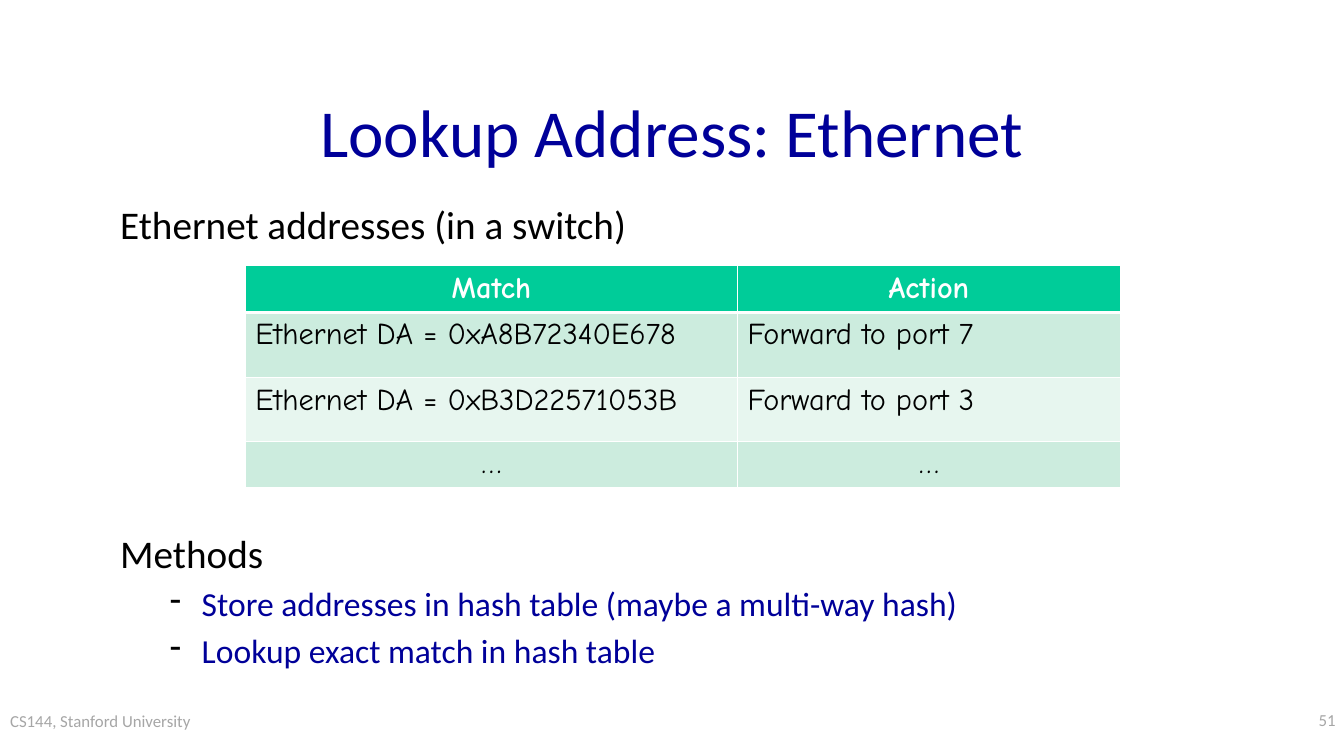
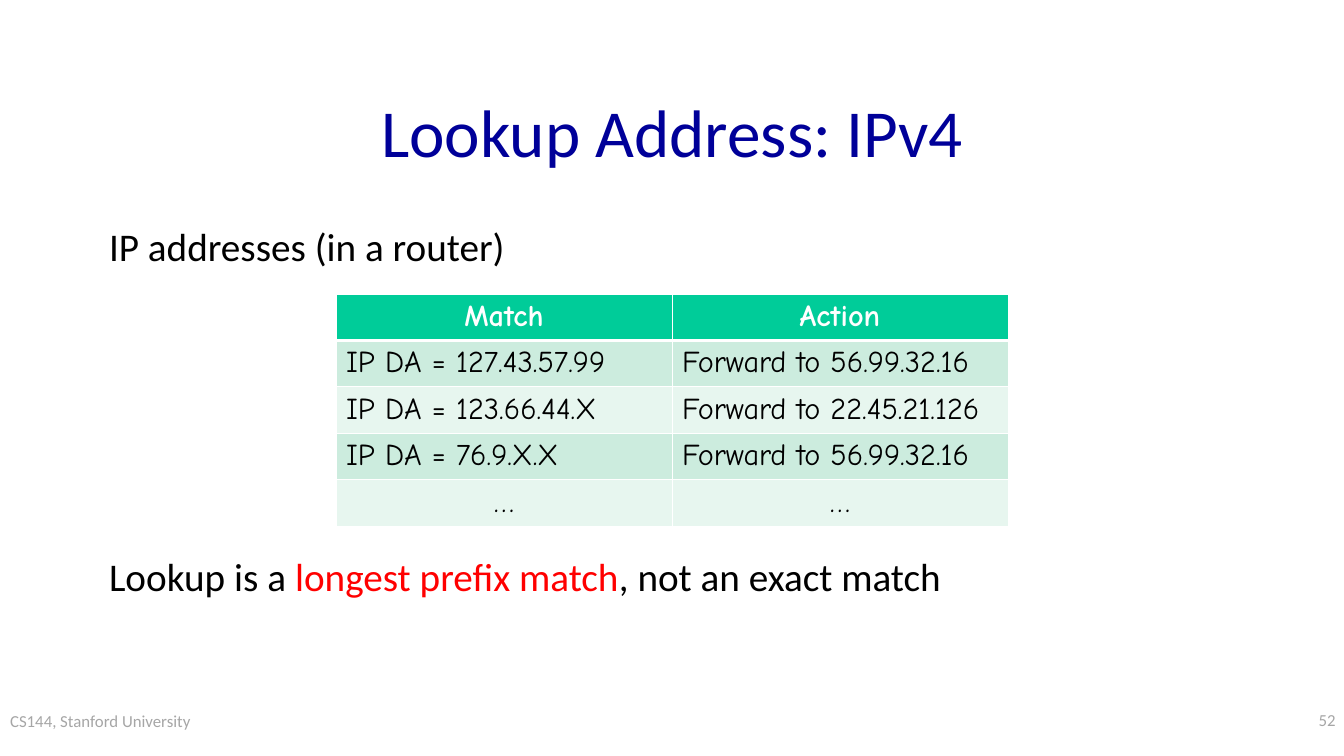
import pptx
import pptx.dml.color
import pptx.enum.text
import pptx.oxml
import pptx.oxml.ns
import pptx.util

COLORS = {
    "background": "FFFFFF",
    "title": "000099",
    "text": "000000",
    "footer": "A6A6A6",
    "emphasis": "FF0000",
    "header": "00CC99",
    "odd_row": "CCECDE",
    "even_row": "E7F6EF",
    "rule": "FFFFFF",
}
TEXT_FONT, TABLE_FONT = "Calibri", "Comic Neue"
SLIDE_WIDTH, SLIDE_HEIGHT = pptx.util.Inches(16), pptx.util.Inches(9)
GRID = SLIDE_WIDTH / 120
TABLE_ROW = 4.15
FOOTER_TOP, FOOTER_HEIGHT = 63, 4.5
BODY_GAP = 242
CENTER = pptx.enum.text.PP_ALIGN.CENTER
LEFT = pptx.enum.text.PP_ALIGN.LEFT
RIGHT = pptx.enum.text.PP_ALIGN.RIGHT
CELL_MARGINS = (0.12, 0.06)


def grid(units):
    return round(units * GRID)


def rgb(name):
    return pptx.dml.color.RGBColor.from_string(COLORS[name])


def style(paragraph, size, color, font=TEXT_FONT, align=LEFT, bold=False):
    paragraph.alignment = align
    paragraph.font.size = pptx.util.Pt(size)
    paragraph.font.name = font
    paragraph.font.bold = bold
    paragraph.font.color.rgb = rgb(color)


def set_margins(holder, horizontal, vertical):
    holder.margin_left = holder.margin_right = pptx.util.Inches(horizontal)
    holder.margin_top = holder.margin_bottom = pptx.util.Inches(vertical)


def add_frame(slide, left, top, width, height, margins=(0.1, 0.05)):
    frame = slide.shapes.add_textbox(*map(grid, (left, top, width, height))).text_frame
    frame.word_wrap = True
    set_margins(frame, *margins)
    return frame


def add_line(slide, area, text, size, color, align=LEFT, **frame_options):
    frame = add_frame(slide, *area, **frame_options)
    frame.text = text
    style(frame.paragraphs[0], size, color, align=align)
    return frame


def add_base(presentation, title, number):
    slide = presentation.slides.add_slide(presentation.slide_layouts[6])
    slide.background.fill.solid()
    slide.background.fill.fore_color.rgb = rgb("background")
    add_line(slide, (0, FOOTER_TOP, 29, FOOTER_HEIGHT), "CS144, Stanford University",
             14.4, "footer", margins=CELL_MARGINS)
    heading = add_line(slide, (9, 6, 102, 11.25), title, 57.6, "title", CENTER)
    heading.vertical_anchor = pptx.enum.text.MSO_ANCHOR.MIDDLE
    add_line(slide, (95, FOOTER_TOP, 25, FOOTER_HEIGHT), str(number), 14.4, "footer", RIGHT)
    return slide


def add_body(slide, left, top, lead, conclusion):
    body = add_frame(slide, left, top, 102, 40.5)
    body.text = lead
    style(body.paragraphs[0], 33.6, "text")
    closing = body.add_paragraph()
    closing.space_before = pptx.util.Pt(BODY_GAP)
    style(closing, 33.6, "text")
    for text, color in conclusion:
        run = closing.add_run()
        run.text = text
        run.font.color.rgb = rgb(color)
    return body


def add_dash_item(body, text):
    item = body.add_paragraph()
    item.text = text
    item.level = 1
    item.space_before = pptx.util.Pt(5.8)
    properties = item._p.get_or_add_pPr()
    properties.set("marL", str(pptx.util.Inches(0.97)))
    properties.set("indent", str(pptx.util.Inches(-0.38)))
    bullet_color = pptx.oxml.parse_xml(
        f'<a:buClr {pptx.oxml.ns.nsdecls("a")}><a:srgbClr val="{COLORS["text"]}"/></a:buClr>')
    bullet = pptx.oxml.parse_xml(f'<a:buChar {pptx.oxml.ns.nsdecls("a")} char="-"/>')
    properties.extend([bullet_color, bullet])
    style(item, 28.8, "title")


def add_borders(cell, row):
    widths = {"L": 1, "R": 1, "T": 3 if row == 1 else 1, "B": 3 if row == 0 else 1}
    for side, width in widths.items():
        cell._tc.get_or_add_tcPr().append(pptx.oxml.parse_xml(
            f'<a:ln{side} {pptx.oxml.ns.nsdecls("a")} w="{pptx.util.Pt(width)}"><a:solidFill>'
            f'<a:srgbClr val="{COLORS["rule"]}"/></a:solidFill></a:ln{side}>'))


def fill_cell(cell, row, text):
    is_header = row == 0
    cell.text = text
    set_margins(cell, *CELL_MARGINS)
    add_borders(cell, row)
    cell.fill.solid()
    cell.fill.fore_color.rgb = rgb(
        "header" if is_header else "odd_row" if row % 2 else "even_row")
    style(cell.text_frame.paragraphs[0], 26, "background" if is_header else "text",
          TABLE_FONT, CENTER if is_header or text == "…" else LEFT, is_header)


def add_lookup_table(slide, left, top, widths, heights, entries):
    rows = [("Match", "Action"), *entries, ("…", "…")]
    table = slide.shapes.add_table(
        len(rows), len(widths), *map(grid, (left, top, sum(widths), sum(heights)))).table
    for column, width in zip(table.columns, widths):
        column.width = grid(width)
    for row, (texts, height) in enumerate(zip(rows, heights)):
        table.rows[row].height = grid(height)
        for column, text in enumerate(texts):
            fill_cell(table.cell(row, column), row, text)


def add_ethernet_slide(presentation):
    slide = add_base(presentation, "Lookup Address: Ethernet", 51)
    body = add_body(slide, 10, 17.5, "Ethernet addresses (in a switch)", [("Methods", "text")])
    add_dash_item(body, "Store addresses in hash table (maybe a multi-way hash)")
    add_dash_item(body, "Lookup exact match in hash table")
    add_lookup_table(slide, 21.9, 23.75, (43.95, 34.2), (TABLE_ROW, 5.85, 5.65, TABLE_ROW), [
        ("Ethernet DA = 0xA8B72340E678", "Forward to port 7"),
        ("Ethernet DA = 0xB3D22571053B", "Forward to port 3"),
    ])


def add_ipv4_slide(presentation):
    slide = add_base(presentation, "Lookup Address: IPv4", 52)
    add_body(slide, 9, 19.5, "IP addresses (in a router)", [
        ("Lookup is a ", "text"),
        ("longest prefix match", "emphasis"),
        (", not an exact match", "text"),
    ])
    add_lookup_table(slide, 30, 26.25, (30, 30), [TABLE_ROW] * 5, [
        ("IP DA = 127.43.57.99", "Forward to 56.99.32.16"),
        ("IP DA = 123.66.44.X", "Forward to 22.45.21.126"),
        ("IP DA = 76.9.X.X", "Forward to 56.99.32.16"),
    ])


def main():
    presentation = pptx.Presentation()
    presentation.slide_width, presentation.slide_height = SLIDE_WIDTH, SLIDE_HEIGHT
    add_ethernet_slide(presentation)
    add_ipv4_slide(presentation)
    presentation.save("out.pptx")


if __name__ == "__main__":
    main()
